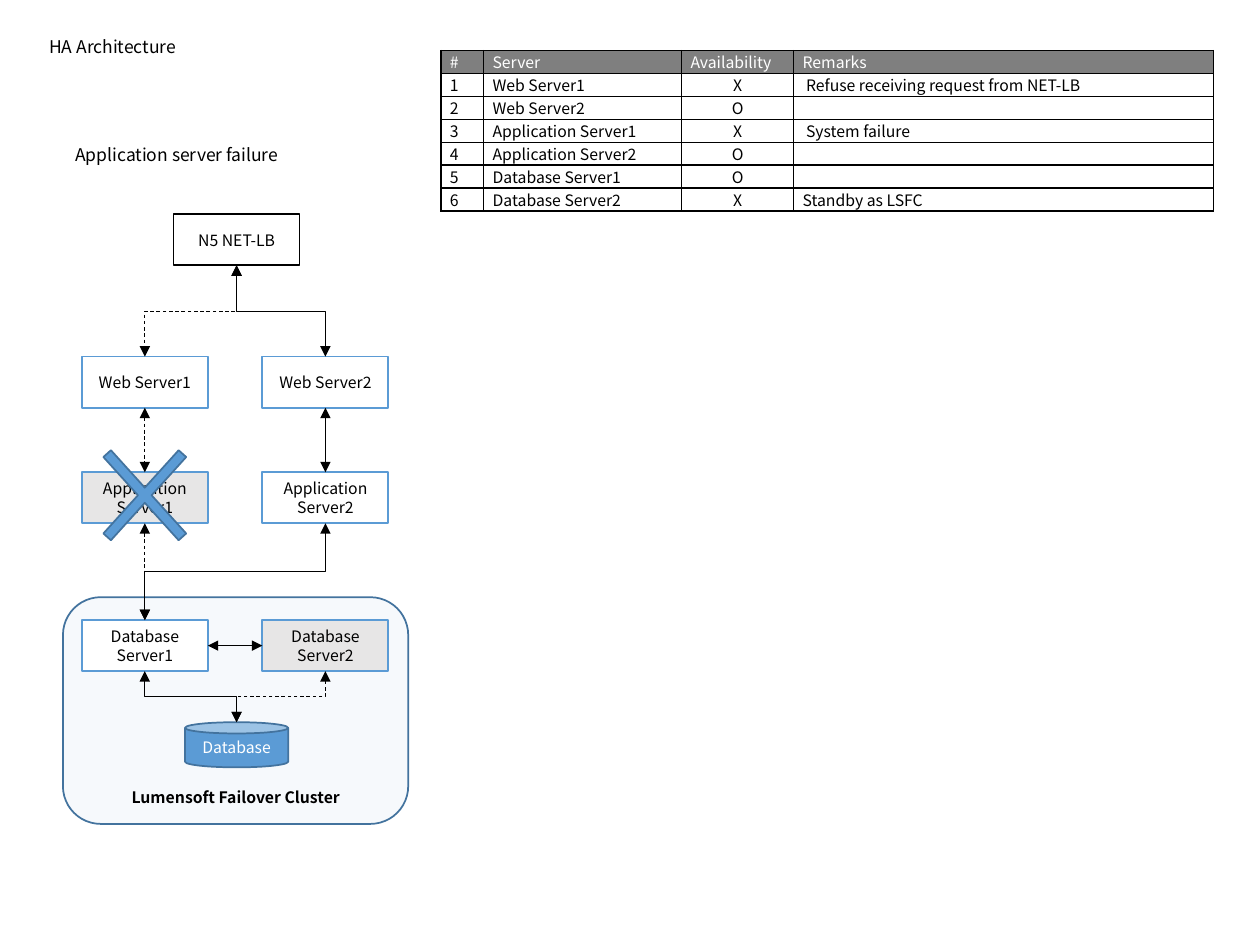
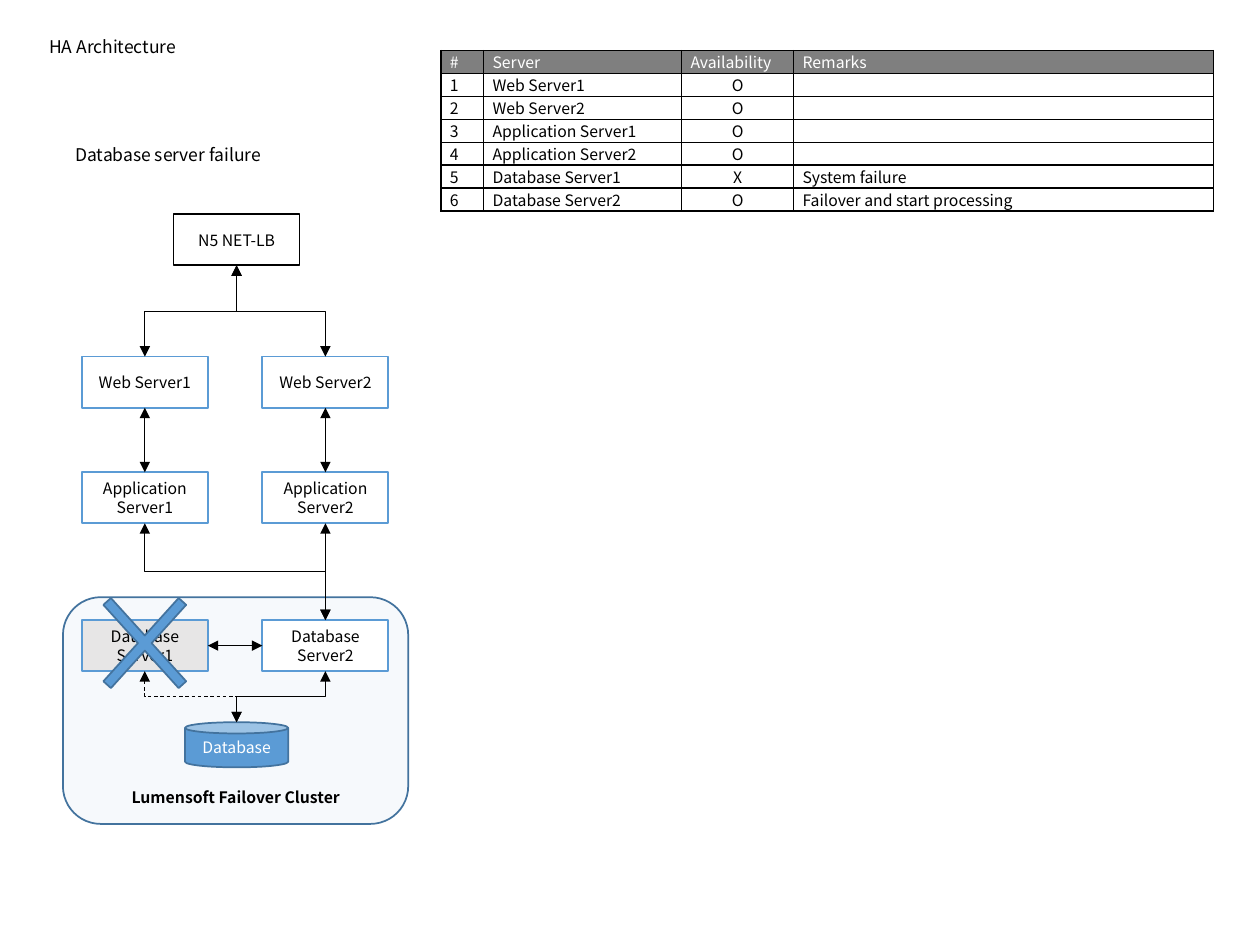
import dataclasses

import lxml.etree
import pptx
import pptx.dml.color
import pptx.enum.dml
import pptx.enum.shapes
import pptx.enum.text
import pptx.oxml.ns
import pptx.util

Cm = pptx.util.Cm
Pt = pptx.util.Pt
qn = pptx.oxml.ns.qn
Shape = pptx.enum.shapes.MSO_SHAPE
Anchor = pptx.enum.text.MSO_ANCHOR
Align = pptx.enum.text.PP_ALIGN

FONT = "Noto Sans CJK JP"
BLACK, WHITE, GREY, HEADER = "000000", "FFFFFF", "E7E6E6", "7F7F7F"
BLUE, DARK_BLUE = "5B9BD5", "43739E"

BOX_WIDTH, BOX_HEIGHT = 2.54, 1.03
LEFT, HUB, RIGHT = 2.92, 4.77, 6.56
DISK_WIDTH, DISK_HEIGHT, DISK_TOP = 2.08, 0.91, 14.56
BALANCER = "N5 NET-LB"
SERVERS = {
    BALANCER: (HUB, 4.32),
    "Web Server1": (LEFT, 7.19),
    "Web Server2": (RIGHT, 7.19),
    "Application Server1": (LEFT, 9.52),
    "Application Server2": (RIGHT, 9.52),
    "Database Server1": (LEFT, 12.5),
    "Database Server2": (RIGHT, 12.5),
}
COLUMNS = {"#": 0.86, "Server": 3.99, "Availability": 2.26, "Remarks": 8.46}
ROW_HEIGHT = 0.46


@dataclasses.dataclass
class Scenario:
    """One failure case and how the servers react to it."""
    name: str
    failed: str
    idle: set
    active_database: str
    dashed: set
    states: str
    remarks: dict


SCENARIOS = [
    Scenario(
        "Application server failure", "Application Server1",
        {"Application Server1", "Database Server2"}, "Database Server1",
        {(BALANCER, "Web Server1"), ("Web Server1", "Application Server1"),
         ("Application Server1", "Database Server1"), ("Database Server2", "Database")},
        "XOXOOX",
        {1: "\u00a0Refuse receiving request from NET-LB",
         3: "\u00a0System failure", 6: "Standby as LSFC"}),
    Scenario(
        "Database server failure", "Database Server1",
        {"Database Server1"}, "Database Server2",
        {("Database Server1", "Database")},
        "OOOOXO",
        {5: "System failure", 6: "Failover and start processing"}),
]


def color(code):
    """Turn a hex string into a colour."""
    return pptx.dml.color.RGBColor.from_string(code)


def add_span(para, text, size, code=BLACK, bold=False):
    """Add one formatted run to a paragraph."""
    span = para.add_run()
    span.text = text
    span.font.name = FONT
    span.font.size = Pt(size)
    span.font.bold = bold
    span.font.color.rgb = color(code)


def write_heading(box, text, left, top, width):
    """Place a heading box and write its text."""
    box.left, box.top, box.width, box.height = Cm(left), Cm(top), Cm(width), Cm(1.19)
    frame = box.text_frame
    frame.word_wrap = True
    frame.auto_size = pptx.enum.text.MSO_AUTO_SIZE.NONE
    frame.vertical_anchor = Anchor.MIDDLE
    para = frame.paragraphs[0]
    para.alignment = Align.LEFT
    para.line_spacing = 0.9
    add_span(para, text, 10)


def add_figure(page, kind, left, top, width, height, fill, line):
    """Add a filled and outlined preset shape."""
    box = page.shapes.add_shape(kind, Cm(left), Cm(top), Cm(width), Cm(height))
    box.shadow.inherit = False
    box.fill.solid()
    box.fill.fore_color.rgb = color(fill)
    box.line.color.rgb = color(line)
    box.line.width = Pt(1)
    return box


def add_label(box, text, code=BLACK, bold=False, anchor=Anchor.MIDDLE):
    """Write a centred label inside a shape."""
    frame = box.text_frame
    frame.word_wrap = True
    frame.vertical_anchor = anchor
    frame.paragraphs[0].alignment = Align.CENTER
    add_span(frame.paragraphs[0], text, 9, code, bold)


def add_cluster(page):
    """Add the translucent frame around the database servers."""
    box = add_figure(page, Shape.ROUNDED_RECTANGLE, 1.27, 12.04, 6.96, 4.57, BLUE, DARK_BLUE)
    tint = box.element.spPr.find(qn("a:solidFill")).find(qn("a:srgbClr"))
    lxml.etree.SubElement(tint, qn("a:alpha"), val="5000")
    add_label(box, "Lumensoft Failover Cluster", bold=True, anchor=Anchor.BOTTOM)


def add_server(page, name, idle):
    """Add one server box, grey when idle."""
    center, top = SERVERS[name]
    box = add_figure(page, Shape.RECTANGLE, center - BOX_WIDTH / 2, top, BOX_WIDTH, BOX_HEIGHT,
                     GREY if idle else WHITE, BLACK if name == BALANCER else BLUE)
    add_label(box, name)


def add_disk(page):
    """Add the shared database cylinder."""
    disk = add_figure(page, Shape.CAN, HUB - DISK_WIDTH / 2, DISK_TOP,
                      DISK_WIDTH, DISK_HEIGHT, BLUE, DARK_BLUE)
    add_label(disk, "Database", WHITE)


def add_arrow(page, kind, begin, end, dashed=False):
    """Add a thin connector with a triangle at both ends."""
    arrow = page.shapes.add_connector(kind, *map(Cm, begin + end))
    arrow.line.color.rgb = color(BLACK)
    arrow.line.width = Pt(0.5)
    if dashed:
        arrow.line.dash_style = pptx.enum.dml.MSO_LINE.DASH
    properties = arrow.element.spPr
    outline = properties.find(qn("a:ln"))
    for tip in ("a:headEnd", "a:tailEnd"):
        lxml.etree.SubElement(outline, qn(tip), type="triangle")
    lxml.etree.SubElement(properties, qn("a:effectLst"))
    return arrow


def add_link(page, upper, lower, dashed):
    """Link the bottom of one node to the top of another."""
    x1, top = SERVERS[upper]
    y1 = top + BOX_HEIGHT
    x2, y2 = SERVERS.get(lower, (HUB, DISK_TOP))
    kinds = pptx.enum.shapes.MSO_CONNECTOR
    if x1 == x2:
        add_arrow(page, kinds.STRAIGHT, (x1, y1), (x2, y2), dashed)
        return
    x, y = (x1 + x2) / 2, (y1 + y2) / 2
    reach, half = (y2 - y1) / 2, abs(x2 - x1) / 2
    side = 1 if x2 > x1 else -1
    arrow = add_arrow(page, kinds.ELBOW, (x + side * reach, y - half),
                      (x - side * reach, y + half), dashed)
    turn = 270 if side > 0 else 90
    arrow.element.spPr.find(qn("a:xfrm")).set("rot", str(turn * 60000))


def add_cross(page, name):
    """Cross out the failed server."""
    center, top = SERVERS[name]
    width, height = 2.92, 3.23
    cross = add_figure(page, Shape.MATH_MULTIPLY, center - width / 2,
                       top + (BOX_HEIGHT - height) / 2 - 0.05, width, height, BLUE, DARK_BLUE)
    cross.adjustments[0] = 0.07


def add_diagram(page, case):
    """Draw the servers, their links and the failure mark."""
    add_cluster(page)
    for name in SERVERS:
        add_server(page, name, name in case.idle)
    add_disk(page)
    middle = SERVERS["Database Server1"][1] + BOX_HEIGHT / 2
    add_arrow(page, pptx.enum.shapes.MSO_CONNECTOR.STRAIGHT,
              (LEFT + BOX_WIDTH / 2, middle), (RIGHT - BOX_WIDTH / 2, middle))
    links = []
    for number in "12":
        web, application = "Web Server" + number, "Application Server" + number
        links += [(BALANCER, web), (web, application), (application, case.active_database),
                  ("Database Server" + number, "Database")]
    for link in sorted(links, key=lambda pair: pair not in case.dashed):
        add_link(page, *link, link in case.dashed)
    add_cross(page, case.failed)


def add_borders(cell):
    """Give a table cell black borders on all sides."""
    properties = cell._tc.get_or_add_tcPr()
    for index, side in enumerate(("a:lnL", "a:lnR", "a:lnT", "a:lnB")):
        edge = lxml.etree.Element(qn(side), w=str(Pt(1)))
        fill = lxml.etree.SubElement(edge, qn("a:solidFill"))
        lxml.etree.SubElement(fill, qn("a:srgbClr"), val=BLACK)
        properties.insert(index, edge)


def write_cell(cell, text, header, centered):
    """Fill, frame and write one table cell."""
    cell.margin_left = cell.margin_right = Cm(0.18)
    cell.margin_top = cell.margin_bottom = Cm(0)
    cell.vertical_anchor = Anchor.TOP if centered else Anchor.BOTTOM
    if header:
        cell.fill.solid()
        cell.fill.fore_color.rgb = color(HEADER)
    else:
        cell.fill.background()
    add_borders(cell)
    para = cell.text_frame.paragraphs[0]
    para.alignment = Align.CENTER if centered else Align.JUSTIFY
    if text:
        add_span(para, text, 9, WHITE if header else BLACK)
    else:
        lxml.etree.SubElement(para._p, qn("a:endParaRPr"), sz="900")


def add_status_table(page, case):
    """Add the table of server availability."""
    servers = [name for name in SERVERS if name != BALANCER]
    rows = [list(COLUMNS)]
    for number, (name, state) in enumerate(zip(servers, case.states), 1):
        rows.append([str(number), name, state, case.remarks.get(number, "")])
    table = page.shapes.add_table(len(rows), len(COLUMNS), Cm(8.89), Cm(1.02),
                                  Cm(sum(COLUMNS.values())), Cm(ROW_HEIGHT * len(rows))).table
    table.first_row = table.horz_banding = False
    for column, width in zip(table.columns, COLUMNS.values()):
        column.width = Cm(width)
    for r, texts in enumerate(rows):
        table.rows[r].height = Cm(ROW_HEIGHT)
        for c, text in enumerate(texts):
            write_cell(table.cell(r, c), text, r == 0, r > 0 and c == 2)


def add_page(deck, case):
    """Build the slide of one failure case."""
    page = deck.slides.add_slide(deck.slide_layouts[5])
    write_heading(page.shapes.title, "HA Architecture", 0.74, 0.36, 21.89)
    caption = page.shapes.add_textbox(Cm(0), Cm(0), Cm(1), Cm(1))
    write_heading(caption, case.name, 1.27, 2.54, 6.38)
    add_diagram(page, case)
    add_status_table(page, case)


def main():
    """Build and save the deck."""
    deck = pptx.Presentation()
    deck.slide_width, deck.slide_height = Cm(25.4), Cm(19.05)
    for case in SCENARIOS:
        add_page(deck, case)
    deck.save("out.pptx")


main()
